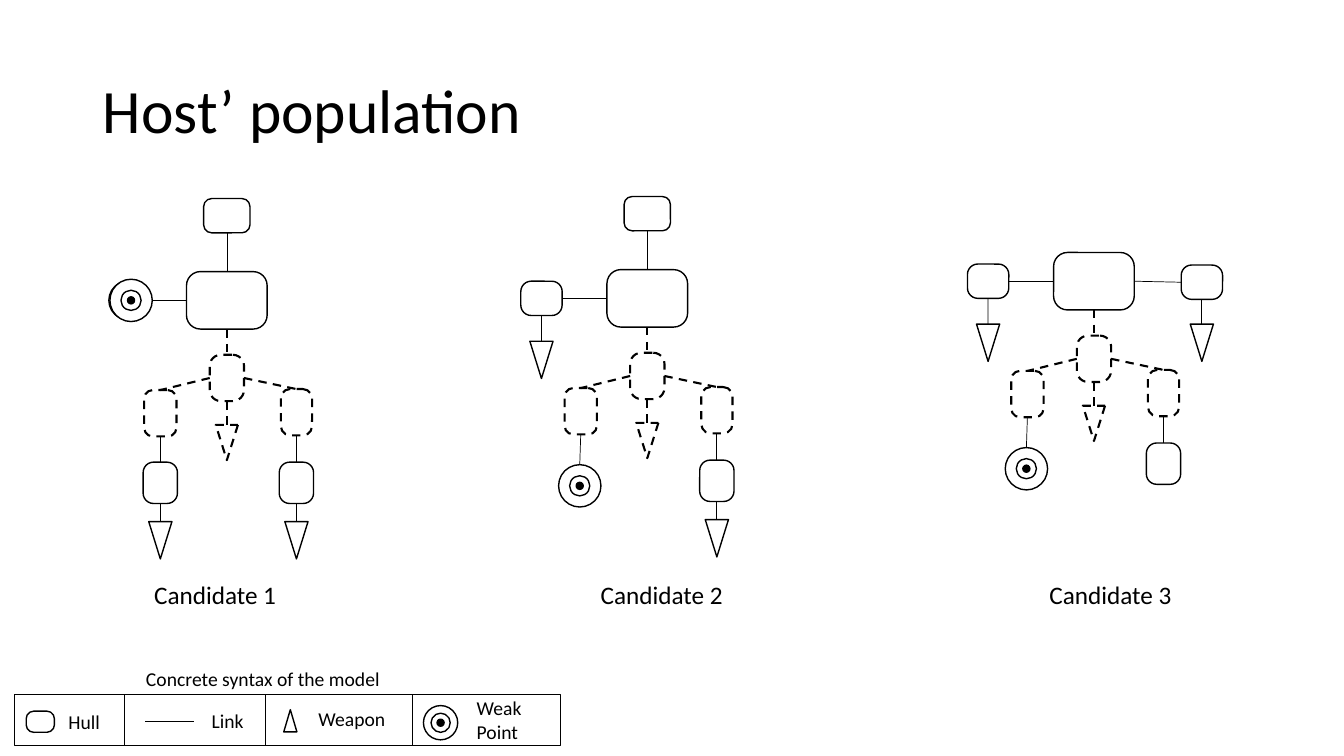
import pptx
import pptx.util
import pptx.dml.color
import pptx.enum.dml
import pptx.enum.shapes
import pptx.enum.text
import pptx.oxml

INK = pptx.dml.color.RGBColor(0, 0, 0)
PAPER = pptx.dml.color.RGBColor(255, 255, 255)
GREY = pptx.dml.color.RGBColor(0xD9, 0xD9, 0xD9)
FONT = "Calibri"
KIND = pptx.enum.shapes.MSO_SHAPE
ROUND, TRIANGLE, OVAL = KIND.ROUNDED_RECTANGLE, KIND.ISOSCELES_TRIANGLE, KIND.OVAL
TOP, LEFT, BOTTOM, RIGHT = range(4)

# Kinds of part: preset, width, height, corner, rotation, dashed
STYLES = {
    "body": (ROUND, 0.8, 0.57, 0.243, 0, False),
    "head": (ROUND, 0.46, 0.34, 0.234, 0, False),
    "hip": (ROUND, 0.46, 0.34, 0.326, 90, True),
    "left thigh": (ROUND, 0.46, 0.32, 0.268, 90, True),
    "right thigh": (ROUND, 0.46, 0.31, 0.297, 90, True),
    "tail": (TRIANGLE, 0.22, 0.35, None, 180, True),
    "arm": (ROUND, 0.34, 0.41, 0.302, 90, False),
    "foot": (ROUND, 0.34, 0.41, 0.302, 0, False),
    "weapon": (TRIANGLE, 0.23, 0.37, None, 180, False),
}
WEAK_RINGS = (0.42, 0.2, 0.07)
LEGEND_RINGS = (0.34, 0.19, 0.07)

# Parts shared by all candidates: name -> kind, offset from the body's centre
SKELETON = {
    "body": ("body", 0, 0),
    "hip": ("hip", 0, 0.77),
    "left thigh": ("left thigh", -0.66, 1.12),
    "right thigh": ("right thigh", 0.69, 1.11),
    "tail": ("tail", 0, 1.41),
}
SKELETON_LINKS = [
    ("body", BOTTOM, "hip", TOP), ("hip", RIGHT, "right thigh", TOP),
    ("hip", LEFT, "left thigh", TOP), ("tail", TOP, "hip", BOTTOM),
]

# Limbs: name -> kind, offset, parent, parent's side, own side
LIMBS = {
    "head": ("head", 0, -0.84, "body", TOP, BOTTOM),
    "left weak point": ("weak", -0.95, 0, "body", LEFT, RIGHT),
    "left arm": ("arm", -1.05, 0, "body", LEFT, RIGHT),
    "left arm weapon": ("weapon", -1.05, 0.61, "left arm", BOTTOM, TOP),
    "right arm": ("arm", 1.07, 0.01, "body", RIGHT, LEFT),
    "right arm weapon": ("weapon", 1.07, 0.61, "right arm", BOTTOM, TOP),
    "left foot": ("foot", -0.66, 1.81, "left thigh", BOTTOM, TOP),
    "left foot weapon": ("weapon", -0.66, 2.38, "left foot", BOTTOM, TOP),
    "leg weak point": ("weak", -0.67, 1.86, "left thigh", BOTTOM, TOP),
    "right foot": ("foot", 0.69, 1.81, "right thigh", BOTTOM, TOP),
    "right foot weapon": ("weapon", 0.69, 2.38, "right foot", BOTTOM, TOP),
}

# Candidates: label, label's left, body's centre, limbs
CANDIDATES = [
    ("Candidate 1", 1.43, (2.25, 2.98),
     ["head", "left weak point", "left foot", "left foot weapon",
      "right foot", "right foot weapon"]),
    ("Candidate 2", 5.86, (6.42, 2.96),
     ["head", "left arm", "left arm weapon", "leg weak point",
      "right foot", "right foot weapon"]),
    ("Candidate 3", 10.31, (10.85, 2.79),
     ["left arm", "left arm weapon", "right arm", "right arm weapon",
      "leg weak point", "right foot"]),
]

# Legend: edges of the cells, then text, left, top, width, height, wrap
LEGEND_EDGES = [0.14, 1.23, 2.63, 4.09, 5.56]
LEGEND_TOP, LEGEND_BOTTOM = 6.89, 7.4
LEGEND_TEXTS = [
    ("Concrete syntax of the model", 1.35, 6.57, 2.54, 0.34, False),
    ("Hull", 0.58, 6.99, 0.66, 0.34, True),
    ("Link", 2, 6.98, 0.75, 0.34, True),
    ("Weapon", 3.06, 6.96, 0.87, 0.34, False),
    ("Weak Point", 4.63, 6.86, 0.88, 0.57, True),
]

inch = pptx.util.Inches
deck = pptx.Presentation()
deck.slide_width, deck.slide_height = inch(13.33), inch(7.5)
page = deck.slides.add_slide(deck.slide_layouts[5])


def write(frame, text, size, wrap=True, spacing=None):
    frame.word_wrap = wrap
    para = frame.paragraphs[0]
    para.alignment = pptx.enum.text.PP_ALIGN.LEFT
    para.line_spacing = spacing
    span = para.add_run()
    span.text = text
    span.font.size, span.font.name = pptx.util.Pt(size), FONT
    span.font.color.rgb = INK


def label(text, left, top, width, height, size, wrap=True):
    box = page.shapes.add_textbox(inch(left), inch(top), inch(width), inch(height))
    write(box.text_frame, text, size, wrap)


def stroke(line, weight, dashed=False):
    line.color.rgb = INK
    line.width = pptx.util.Pt(weight)
    if dashed:
        line.dash_style = pptx.enum.dml.MSO_LINE.DASH


def part(preset, x, y, width, height, corner=None, turn=0, dashed=False,
         fill=PAPER, weight=1):
    """Draw a shape around the centre x, y."""
    shape = page.shapes.add_shape(preset, inch(x - width / 2), inch(y - height / 2),
                                  inch(width), inch(height))
    shape.shadow.inherit = False
    shape.rotation = turn
    if corner is not None:
        shape.adjustments[0] = corner
    if fill is None:
        shape.fill.background()
    else:
        shape.fill.solid()
        shape.fill.fore_color.rgb = fill
    stroke(shape.line, 1.5 if dashed else weight, dashed)
    return shape


def target(x, y, rings):
    discs = [part(OVAL, x, y, size, size, fill=color)
             for size, color in zip(rings, (PAPER, PAPER, INK))]
    return discs[0]


def connect(x1, y1, x2, y2, weight=0.5, dashed=False):
    line = page.shapes.add_connector(pptx.enum.shapes.MSO_CONNECTOR.STRAIGHT,
                                     x1, y1, x2, y2)
    stroke(line.line, weight, dashed)
    line._element.spPr.append(pptx.oxml.parse_xml(
        '<a:effectLst xmlns:a="http://schemas.openxmlformats.org/drawingml/2006/main"/>'))
    return line


def side_point(shape, side):
    """Middle of a side as seen after rotation."""
    width, height = shape.width, shape.height
    if shape.rotation % 180:
        width, height = height, width
    across, down = ((0, -1), (-1, 0), (0, 1), (1, 0))[side]
    return (int(shape.left + shape.width / 2 + across * width / 2),
            int(shape.top + shape.height / 2 + down * height / 2))


def join(start, start_side, end, end_side, dashed=False):
    first, last = side_point(start, start_side), side_point(end, end_side)
    line = connect(*first, *last, weight=1.5 if dashed else 0.5, dashed=dashed)
    for shape, side, glue in ((start, start_side, line.begin_connect),
                              (end, end_side, line.end_connect)):
        if shape.auto_shape_type == ROUND:
            glue(shape, (side + int(shape.rotation // 90)) % 4)
    # Connecting ignores rotation, so the ends are set again
    line.begin_x, line.begin_y = first
    line.end_x, line.end_y = last


# Title
title = page.shapes.title
title.left, title.top, title.width, title.height = map(inch, (0.92, 0.4, 11.5, 1.45))
title.text_frame.vertical_anchor = pptx.enum.text.MSO_ANCHOR.MIDDLE
write(title.text_frame, "Host’ population", 44, spacing=0.9)

# Candidates
for name, label_left, (x, y), limbs in CANDIDATES:
    label(name, label_left, 5.7, 1.62, 0.4, 18)
    if "left weak point" in limbs:
        part(OVAL, x - 0.97, y, 0.4, 0.39, fill=GREY)
    parts = {}
    for key, (kind, dx, dy, *_) in [*SKELETON.items(), *((k, LIMBS[k]) for k in limbs)]:
        if kind == "weak":
            parts[key] = target(x + dx, y + dy, WEAK_RINGS)
        else:
            preset, width, height, *look = STYLES[kind]
            parts[key] = part(preset, x + dx, y + dy, width, height, *look)
    for start, start_side, end, end_side in SKELETON_LINKS:
        join(parts[start], start_side, parts[end], end_side, dashed=True)
    for key in limbs:
        parent, parent_side, own_side = LIMBS[key][3:]
        join(parts[parent], parent_side, parts[key], own_side)

# Legend
legend_width, legend_height = LEGEND_EDGES[-1] - LEGEND_EDGES[0], LEGEND_BOTTOM - LEGEND_TOP
part(KIND.RECTANGLE, LEGEND_EDGES[0] + legend_width / 2, LEGEND_TOP + legend_height / 2,
     legend_width, legend_height, fill=None, weight=0.75)
for edge in LEGEND_EDGES[1:-1]:
    connect(inch(edge), inch(LEGEND_TOP), inch(edge), inch(LEGEND_BOTTOM))
part(ROUND, 0.4, 7.16, 0.28, 0.21, corner=0.355)
connect(inch(1.44), inch(7.16), inch(1.92), inch(7.16))
part(TRIANGLE, 2.88, 7.15, 0.13, 0.22)
target(4.37, 7.17, LEGEND_RINGS)
for text, left, top, width, height, wrap in LEGEND_TEXTS:
    label(text, left, top, width, height, 14, wrap)

deck.save("out.pptx")
